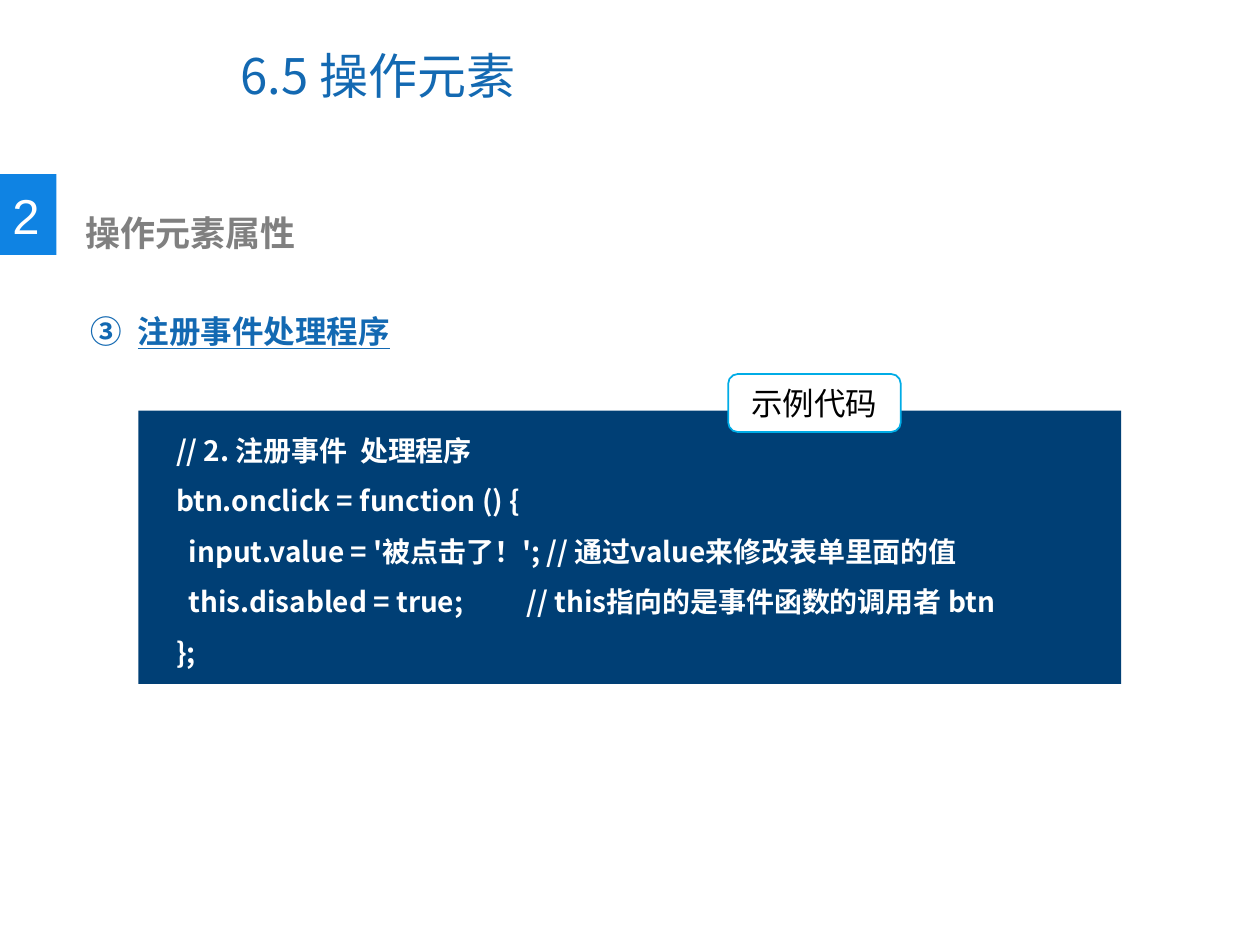
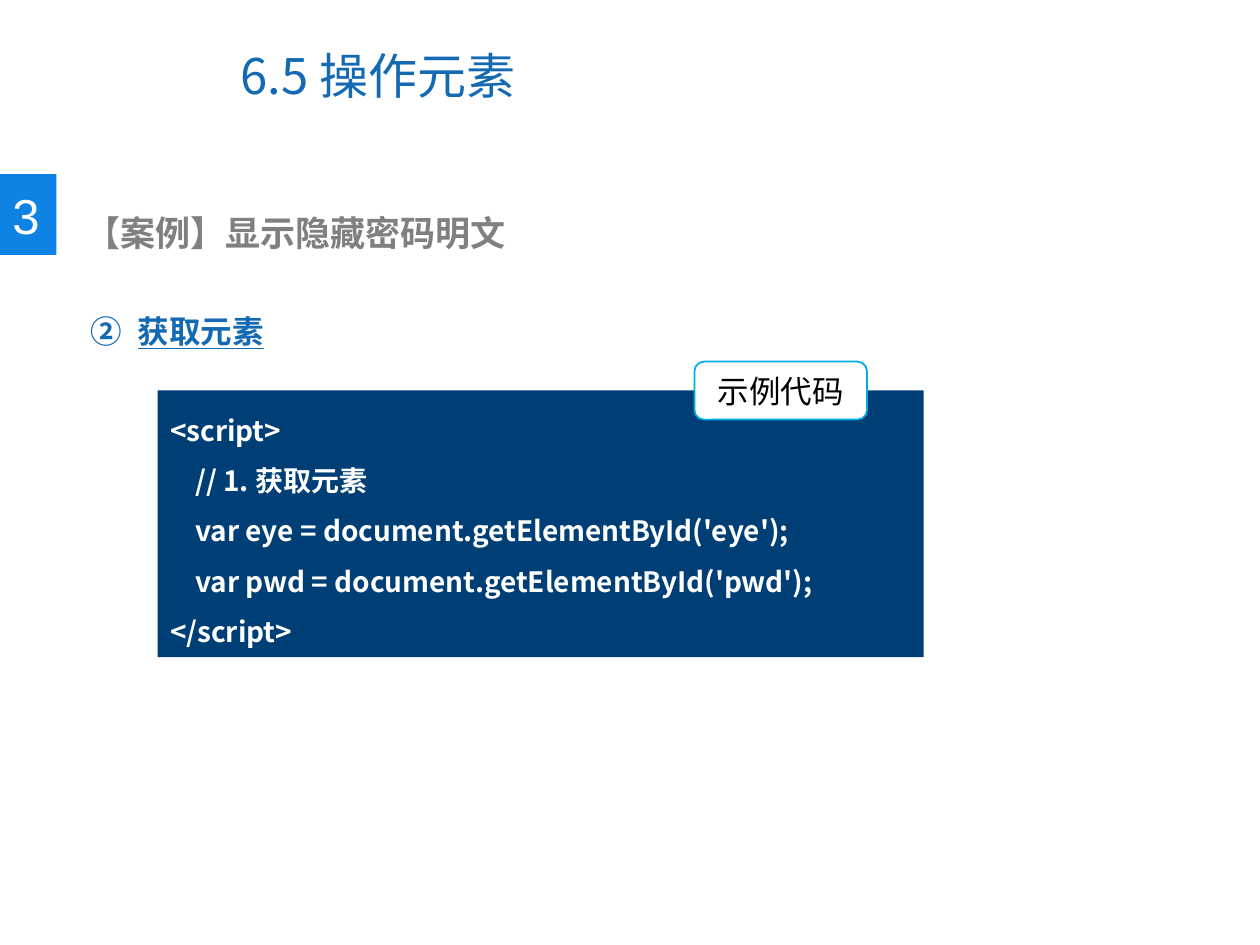
"""Builds two lesson slides on operating page elements, each with a code sample."""
from lxml import etree
from pptx import Presentation
from pptx.dml.color import RGBColor
from pptx.enum import shapes, text
from pptx.oxml import ns
from pptx.util import Cm, Pt

COLORS = {
    "title": "1369B2",
    "badge": "0F83E3",
    "heading": "808080",
    "panel": "003F75",
    "tag_line": "00ACE6",
    "white": "FFFFFF",
    "black": "000000",
}
LATIN, CJK = "Arial", "Noto Sans CJK SC"


def color(key):
    """Return the named colour."""
    return RGBColor.from_string(COLORS[key])


def style(paragraph, size, ink, name=LATIN, bold=False, underline=False):
    """Set the font of a whole paragraph, East Asian face included."""
    font = paragraph.font
    font.size, font.name = Pt(size), name
    font.bold, font.underline = bold, underline
    font.color.rgb = color(ink)
    defaults = paragraph._p.pPr.find(ns.qn("a:defRPr"))
    etree.SubElement(defaults, ns.qn("a:ea"), typeface=CJK)


def add_label(slide, box, words, wrap=True):
    """Add a text box and return its frame and first paragraph."""
    frame = slide.shapes.add_textbox(*map(Cm, box)).text_frame
    frame.word_wrap = wrap
    frame.text = words
    return frame, frame.paragraphs[0]


def add_block(slide, kind, box, fill, line=None):
    """Add a flat filled shape, outlined only if a line colour is given."""
    block = slide.shapes.add_shape(kind, *map(Cm, box))
    block.shadow.inherit = False
    block.fill.solid()
    block.fill.fore_color.rgb = color(fill)
    if line:
        block.line.color.rgb = color(line)
        block.line.width = Pt(1)
    else:
        block.line.fill.background()
    return block


def add_title(slide, box, words):
    """Add the slide title, centred vertically in its box."""
    frame, title = add_label(slide, box, words)
    frame.vertical_anchor = text.MSO_ANCHOR.MIDDLE
    style(title, 28, "title", CJK)


def add_section(slide, box, number, words):
    """Add the numbered badge at the left of the box and the heading beside it."""
    left, top, width, height = box
    badge_width = 1.14
    add_block(slide, shapes.MSO_SHAPE.RECTANGLE, (left, top, badge_width, height), "badge")
    _, digit = add_label(slide, (left, top + 0.1, 1.07, 1.45), number, wrap=False)
    style(digit, 28, "white")
    heading_box = (left + 1.19, top + 0.63, width - 1.19, 1.12)
    frame, heading = add_label(slide, heading_box, words)
    frame.margin_left = Cm(0.53)
    style(heading, 20, "heading", bold=True)


def add_step(slide, box, number, words):
    """Add an underlined step with a circled number."""
    _, step = add_label(slide, box, words)
    step.line_spacing = 2.0
    properties = step._p.get_or_add_pPr()
    properties.set("marL", str(Cm(0.96)))
    properties.set("indent", str(Cm(-0.96)))
    etree.SubElement(properties, ns.qn("a:buFont"), typeface=LATIN)
    etree.SubElement(properties, ns.qn("a:buAutoNum"),
                     type="circleNumDbPlain", startAt=str(number))
    style(step, 18, "title", bold=True, underline=True)


def add_code(slide, box, tag_offset, code):
    """Add the code panel and its tag, which overlaps the top edge."""
    frame = add_block(slide, shapes.MSO_SHAPE.RECTANGLE, box, "panel").text_frame
    frame.word_wrap = True
    frame.vertical_anchor = text.MSO_ANCHOR.TOP
    frame.text = "\n".join(code)
    for line in frame.paragraphs:
        line.alignment = text.PP_ALIGN.LEFT
        line.line_spacing = 1.5
        style(line, 16, "white", CJK, bold=True)

    tag_box = (box[0] + tag_offset[0], box[1] + tag_offset[1], 3.48, 1.17)
    tag = add_block(slide, shapes.MSO_SHAPE.ROUNDED_RECTANGLE, tag_box, "white", "tag_line")
    tag.text_frame.text = "示例代码"
    caption = tag.text_frame.paragraphs[0]
    caption.alignment = text.PP_ALIGN.CENTER
    style(caption, 18, "black")


LESSONS = [
    {
        "section": ("2", "操作元素属性"),
        "step": (3, "注册事件处理程序"),
        "panel": (2.79, 8.28, 19.81, 5.51),
        "tag_offset": (11.89, -0.74),
        "code": [
            "    // 2. 注册事件  处理程序",
            "    btn.onclick = function () {",
            "      input.value = '被点击了！'; // 通过value来修改表单里面的值",
            "      this.disabled = true;          // this指向的是事件函数的调用者 btn",
            "    };",
        ],
    },
    {
        "section": ("3", "【案例】显示隐藏密码明文"),
        "step": (2, "获取元素"),
        "panel": (3.18, 7.87, 15.44, 5.38),
        "tag_offset": (10.82, -0.58),
        "code": [
            "<script>",
            "    // 1. 获取元素",
            "    var eye = document.getElementById('eye');",
            "    var pwd = document.getElementById('pwd');",
            "</script>",
        ],
    },
]


def add_lesson(deck, lesson):
    """Add one lesson slide."""
    slide = deck.slides.add_slide(deck.slide_layouts[6])
    add_title(slide, (4.6, 0.43, 13.11, 2.16), "6.5 操作元素")
    add_section(slide, (0, 3.51, 14.25, 1.63), *lesson["section"])
    add_step(slide, (1.57, 5.41, 21.97, 1.55), *lesson["step"])
    add_code(slide, lesson["panel"], lesson["tag_offset"], lesson["code"])


def main():
    """Build and save the deck."""
    deck = Presentation()
    deck.slide_width, deck.slide_height = Cm(25.4), Cm(19.05)
    for lesson in LESSONS:
        add_lesson(deck, lesson)
    deck.save("out.pptx")


if __name__ == "__main__":
    main()
